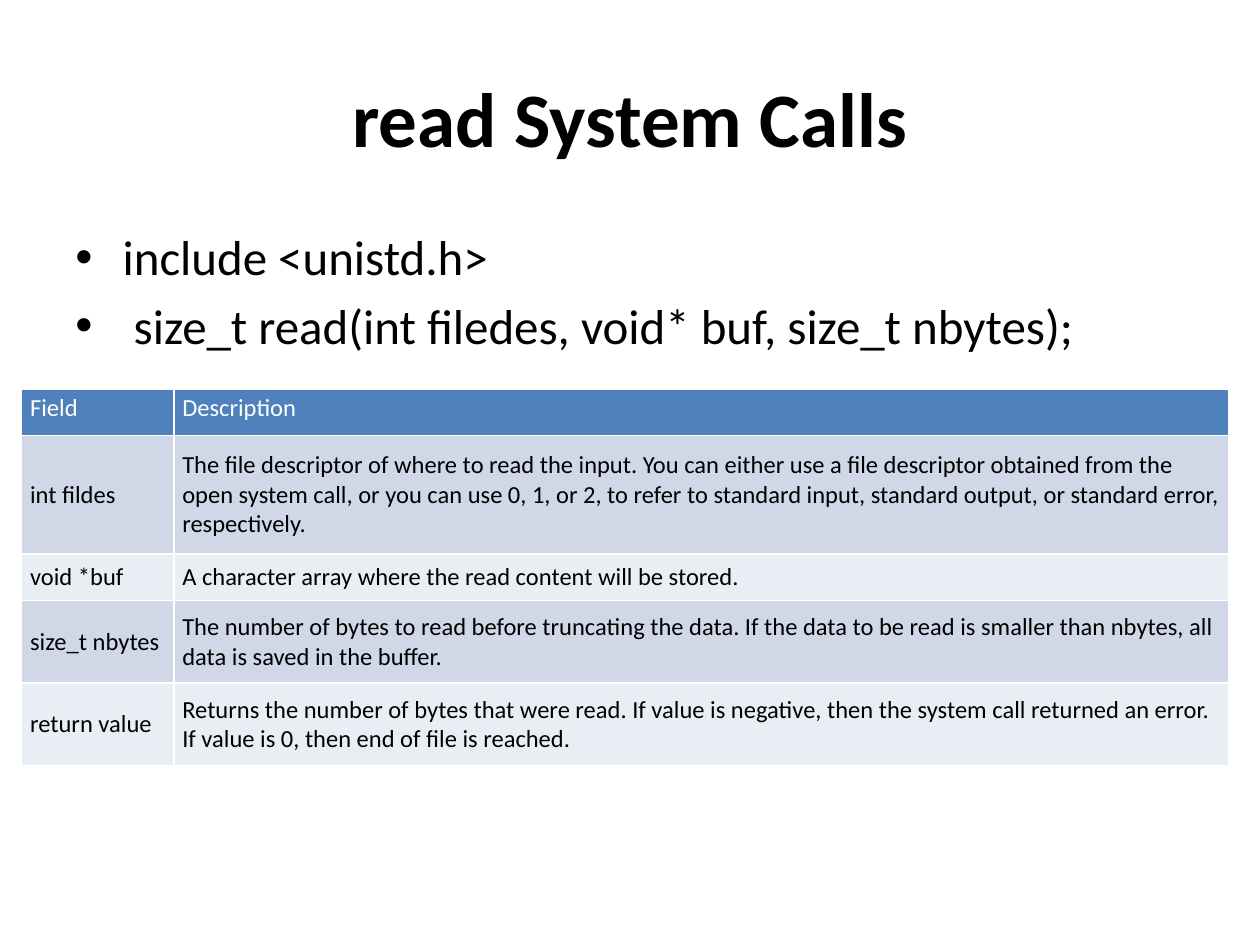
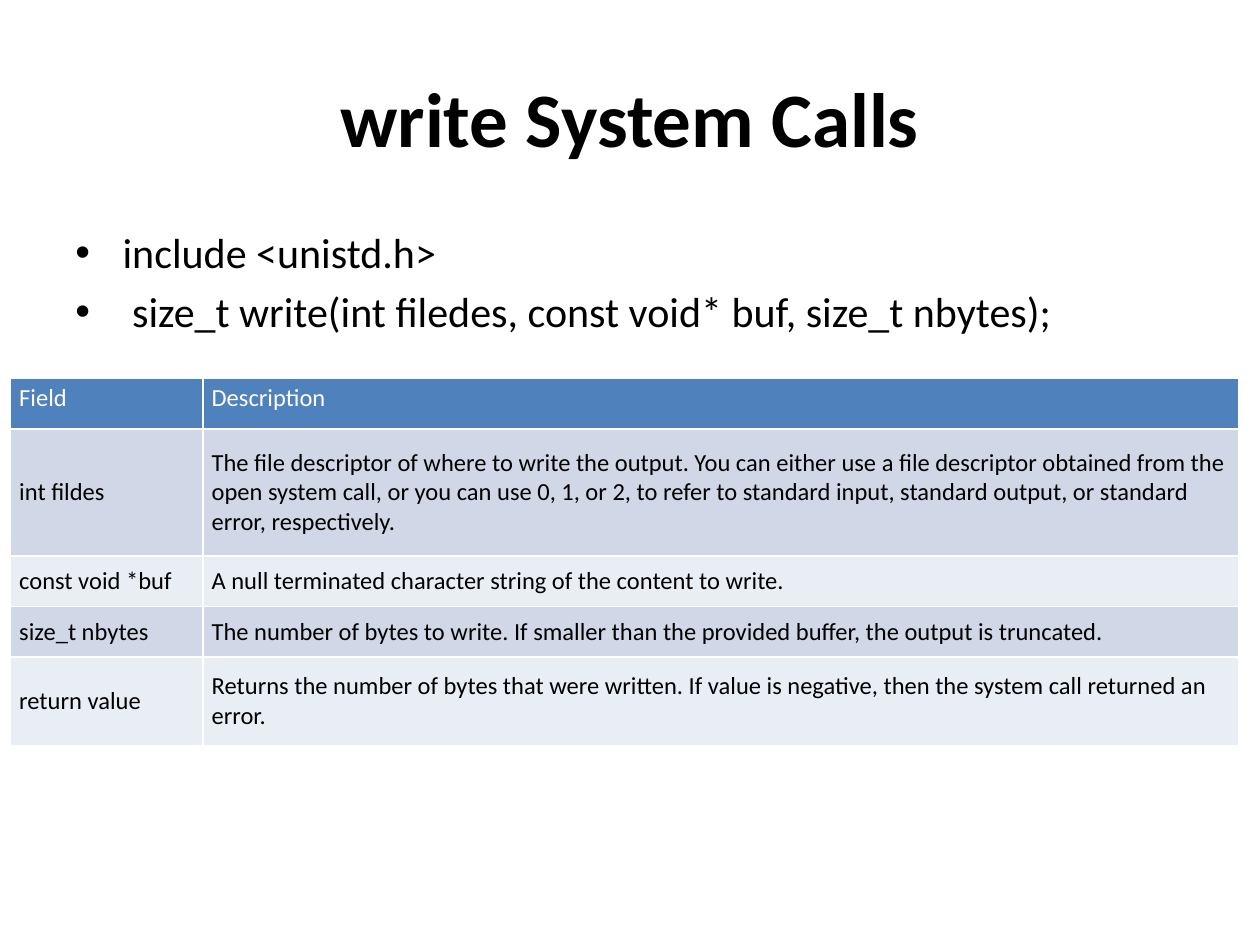
import dataclasses
import pptx
import pptx.util
import pptx.dml.color
import pptx.enum.text
import pptx.oxml
import pptx.oxml.ns

Pt = pptx.util.Pt
Align = pptx.enum.text.PP_ALIGN
Anchor = pptx.enum.text.MSO_ANCHOR


@dataclasses.dataclass(frozen=True)
class Theme:
    font: str = "Calibri"
    ink: str = "000000"
    paper: str = "FFFFFF"
    head: str = "4F81BD"
    bands: tuple = ("D0D8E8", "E9EDF4")
    title: int = 44
    cell: int = 14
    indent: int = 27
    rule: int = 1
    inset: tuple = (4.9, 2.6)


THEME = Theme()
TITLE = (36, 21.6, 648, 90)
BODY = (36, 126, 648, 356.4)

CALLS = [
    dict(
        title="read System Calls",
        size=28,
        lines=["include <unistd.h>",
               " size_t read(int filedes, void* buf, size_t nbytes);"],
        spot=(12.3, 222.2),
        cols=(87, 603),
        heights=(26.6, 67.7, 26.6, 47.3, 47.3),
        rows=[
            ("Field", "Description"),
            ("int fildes",
             "The file descriptor of where to read the input. You can either use a file "
             "descriptor obtained from the open system call, or you can use 0, 1, or 2, "
             "to refer to standard input, standard output, or standard error, respectively."),
            ("void *buf", "A character array where the read content will be stored."),
            ("size_t nbytes",
             "The number of bytes to read before truncating the data. If the data to be "
             "read is smaller than nbytes, all data is saved in the buffer."),
            ("return value",
             "Returns the number of bytes that were read. If value is negative, then the "
             "system call returned an error. If value is 0, then end of file is reached."),
        ],
    ),
    dict(
        title="write System Calls",
        size=24,
        lines=["include <unistd.h>",
               " size_t write(int filedes, const void* buf, size_t nbytes);"],
        spot=(6.1, 216.3),
        cols=(110, 592),
        heights=(28.8, 72.6, 28.8, 28.8, 50.6),
        rows=[
            ("Field", "Description"),
            ("int fildes",
             "The file descriptor of where to write the output. You can either use a file "
             "descriptor obtained from the open system call, or you can use 0, 1, or 2, "
             "to refer to standard input, standard output, or standard error, respectively."),
            ("const void *buf",
             "A null terminated character string of the content to write."),
            ("size_t nbytes",
             "The number of bytes to write. If smaller than the provided buffer, the "
             "output is truncated."),
            ("return value",
             "Returns the number of bytes that were written. If value is negative, then "
             "the system call returned an error."),
        ],
    ),
]


def color(code):
    return pptx.dml.color.RGBColor.from_string(code)


def style(para, size, code, bold=False):
    font = para.font
    font.name, font.size, font.bold = THEME.font, Pt(size), bold
    font.color.rgb = color(code)


def node(tag, **attrs):
    item = pptx.oxml.parse_xml(f"<a:{tag} {pptx.oxml.ns.nsdecls('a')}/>")
    for name, value in attrs.items():
        item.set(name, str(value))
    return item


def frame(slide, box):
    text = slide.shapes.add_textbox(*map(Pt, box)).text_frame
    text.word_wrap = True
    return text


def heading(slide, box, words):
    text = frame(slide, box)
    text.vertical_anchor = Anchor.MIDDLE
    text.text = words
    para = text.paragraphs[0]
    para.alignment = Align.CENTER
    style(para, THEME.title, THEME.ink, True)


def bullets(slide, box, lines, size):
    text = frame(slide, box)
    text.text = "\n".join(lines)
    for para in text.paragraphs:
        style(para, size, THEME.ink)
        para.space_before = Pt(size * 0.2)
        props = para._p.get_or_add_pPr()
        props.set("marL", str(Pt(THEME.indent)))
        props.set("indent", str(-Pt(THEME.indent)))
        mark = node("buChar", char="•")
        face = node("buFont", typeface="Arial")
        props.find(pptx.oxml.ns.qn("a:spcBef")).addnext(face)
        face.addnext(mark)


def border(cell):
    props = cell._tc.get_or_add_tcPr()
    for place, side in enumerate(("lnL", "lnR", "lnT", "lnB")):
        line = node(side, w=Pt(THEME.rule))
        fill = node("solidFill")
        fill.append(node("srgbClr", val=THEME.paper))
        line.append(fill)
        props.insert(place, line)


def fill_cell(cell, words, row):
    side, edge = map(Pt, THEME.inset)
    cell.margin_left = cell.margin_right = side
    cell.margin_top = cell.margin_bottom = edge
    cell.vertical_anchor = Anchor.MIDDLE if row else Anchor.TOP
    cell.fill.solid()
    cell.fill.fore_color.rgb = color(THEME.bands[(row - 1) % 2] if row else THEME.head)
    cell.text = words
    style(cell.text_frame.paragraphs[0], THEME.cell, THEME.ink if row else THEME.paper)
    border(cell)


def fields(slide, box, rows, cols, heights):
    grid = slide.shapes.add_table(len(rows), len(cols), *map(Pt, box)).table
    grid.horz_banding = False
    for col, width in zip(grid.columns, cols):
        col.width = Pt(width)
    for row, height in zip(grid.rows, heights):
        row.height = Pt(height)
    for r, row in enumerate(rows):
        for c, words in enumerate(row):
            fill_cell(grid.cell(r, c), words, r)


def call_slide(deck, call):
    slide = deck.slides.add_slide(deck.slide_layouts[6])
    heading(slide, TITLE, call["title"])
    bullets(slide, BODY, call["lines"], call["size"])
    box = (*call["spot"], sum(call["cols"]), sum(call["heights"]))
    fields(slide, box, call["rows"], call["cols"], call["heights"])


def main():
    deck = pptx.Presentation()
    deck.slide_width, deck.slide_height = Pt(720), Pt(540)
    for call in CALLS:
        call_slide(deck, call)
    deck.save("out.pptx")


if __name__ == "__main__":
    main()
